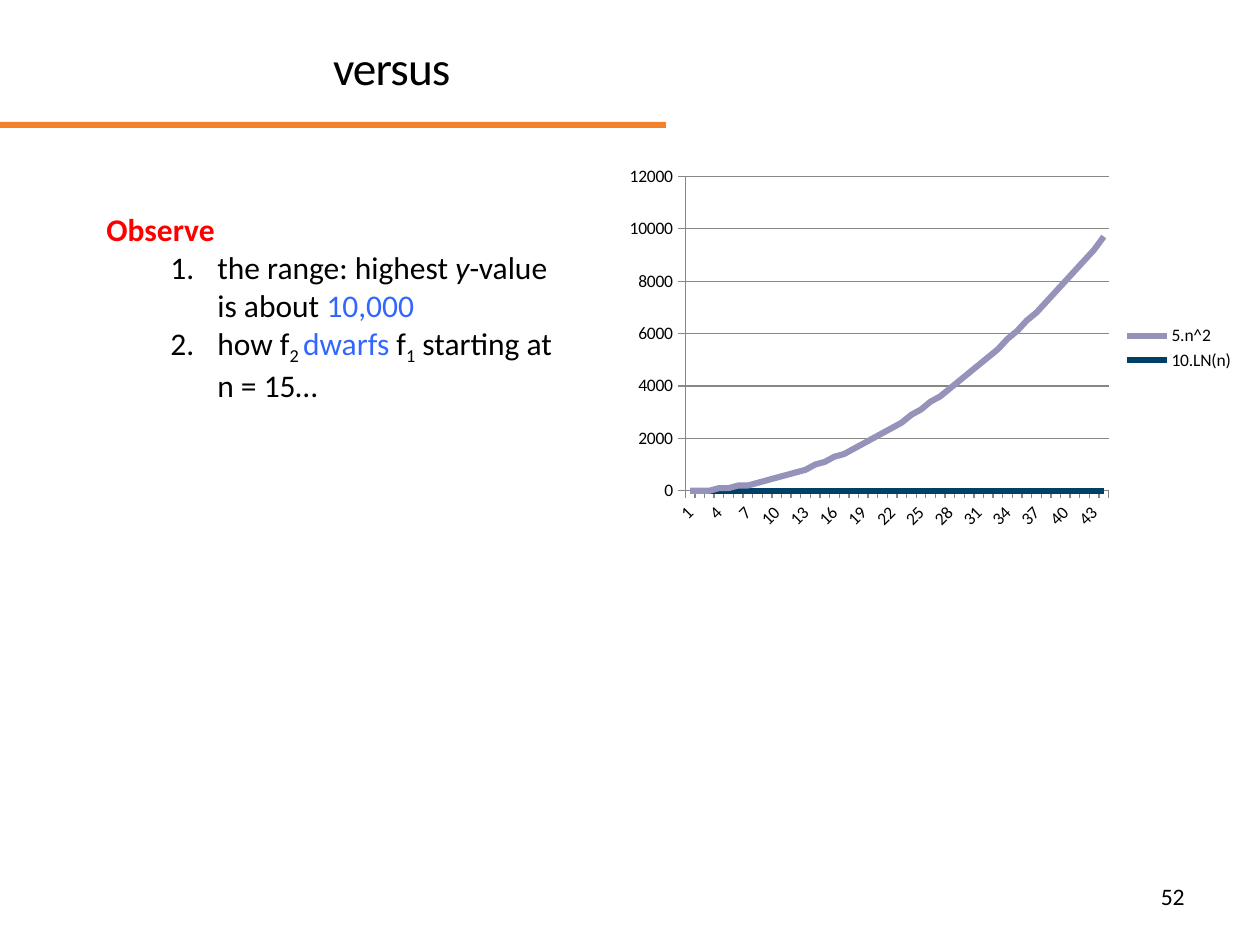
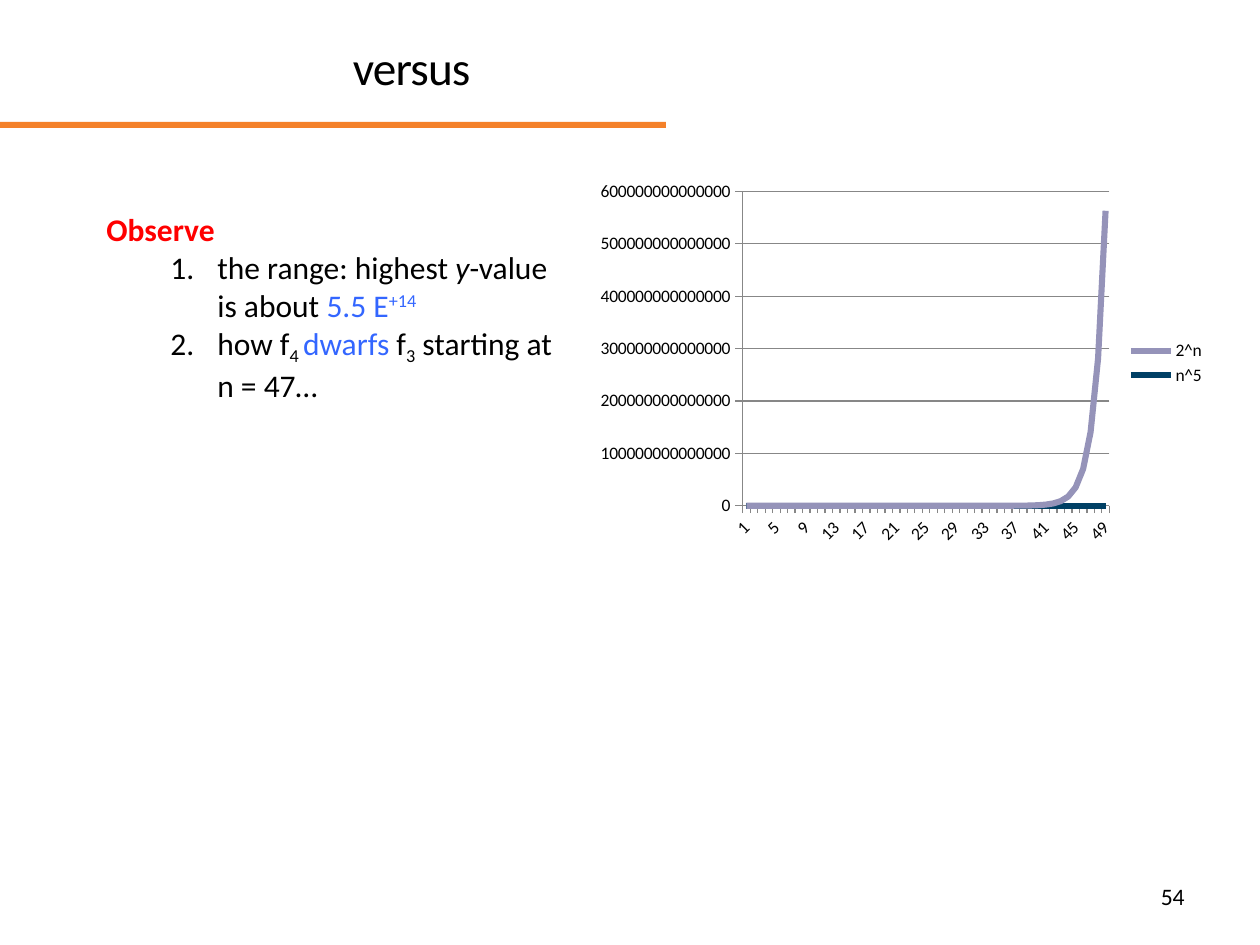
from math import log

from lxml.etree import SubElement
from pptx import Presentation
from pptx.chart.data import CategoryChartData
from pptx.dml.color import RGBColor
from pptx.enum.chart import XL_CHART_TYPE as ChartType
from pptx.enum.chart import XL_LEGEND_POSITION as LegendPosition
from pptx.enum.chart import XL_MARKER_STYLE as Marker
from pptx.enum.chart import XL_TICK_MARK as Tick
from pptx.enum.shapes import MSO_SHAPE as Preset
from pptx.enum.text import MSO_ANCHOR as Anchor
from pptx.enum.text import MSO_AUTO_SIZE as AutoSize
from pptx.enum.text import PP_ALIGN as Align
from pptx.oxml.ns import qn
from pptx.util import Emu, Pt

COLORS = {
    "text": "000000",
    "band": "F4812A",
    "heading": "FF0000",
    "accent": "3366FF",
    "slow": "004065",
    "fast": "9593B9",
    "axis": "878787",
}
FONT = "Calibri"
SUB, SUPER = -25, 30


def px(length):
    """Turn pixels at 126 to the inch into EMU."""
    return Emu(round(length * 914400 / 126))


def rgb(name):
    """Look up a palette colour."""
    return RGBColor.from_string(COLORS[name])


def write(paragraph, text, size=18, color="text", bold=False, italic=False, baseline=0, spacing=0):
    """Append one formatted run to a paragraph."""
    run = paragraph.add_run()
    run.text = text
    font = run.font
    font.name, font.size, font.bold, font.italic = FONT, Pt(size), bold, italic
    font.color.rgb = rgb(color)
    properties = run._r.get_or_add_rPr()
    if baseline:
        properties.set("baseline", str(baseline * 1000))
    if spacing:
        properties.set("spc", str(round(spacing * 100)))


def add_text_frame(slide, left, top, width, height):
    """Add a wrapping text box and return its frame."""
    frame = slide.shapes.add_textbox(px(left), px(top), px(width), px(height)).text_frame
    frame.word_wrap = True
    return frame


def set_title(slide, text, indent):
    """Place the title and start its text at the given inset."""
    title = slide.shapes.title
    title.left, title.top, title.width, title.height = px(63), px(38), px(1134), px(84)
    frame = title.text_frame
    frame.auto_size = AutoSize.NONE
    frame.vertical_anchor = Anchor.TOP
    frame.margin_left = px(indent)
    paragraph = frame.paragraphs[0]
    paragraph.alignment = Align.LEFT
    paragraph.line_spacing = 0.9
    write(paragraph, text, size=27, spacing=-0.5)


def add_band(slide):
    """Draw the rule below the title."""
    band = slide.shapes.add_shape(Preset.RECTANGLE, 0, px(122), px(666), px(6))
    band.shadow.inherit = False
    band.fill.solid()
    band.fill.fore_color.rgb = rgb("band")
    band.line.fill.background()


def add_page_number(slide, number):
    """Write the page number at the lower right."""
    paragraph = add_text_frame(slide, 903, 876, 294, 50).paragraphs[0]
    paragraph.alignment = Align.RIGHT
    write(paragraph, str(number), size=13.5)


def add_numbered_point(frame, pieces):
    """Add a numbered paragraph made of (text, format) pieces."""
    point = frame.add_paragraph()
    point.level = 1
    properties = point._p.get_or_add_pPr()
    properties.set("marL", str(px(111)))
    properties.set("indent", str(px(-47)))
    SubElement(properties, qn("a:buAutoNum"), type="arabicPeriod")
    for text, style in pieces:
        write(point, text, **style)


def add_observations(slide, highest, fast, slow, start):
    """List what the chart shows about the two functions."""
    frame = add_text_frame(slide, 94, 204, 476, 204)
    write(frame.paragraphs[0], "Observe ", color="heading", bold=True)
    add_numbered_point(frame, [
        ("the range: highest ", {}),
        ("y", {"italic": True}),
        ("-value is about ", {}),
        *[(text, {"color": "accent", "baseline": shift}) for text, shift in highest],
    ])
    add_numbered_point(frame, [
        ("how f", {}),
        (f"{fast} ", {"baseline": SUB}),
        ("dwarfs", {"color": "accent"}),
        (" f", {}),
        (str(slow), {"baseline": SUB}),
        (f" starting at n = {start}…", {}),
    ])


def style_axis(axis):
    """Give an axis grey lines and outside ticks."""
    axis.major_tick_mark, axis.minor_tick_mark = Tick.OUTSIDE, Tick.NONE
    axis.format.line.color.rgb = rgb("axis")
    axis.format.line.width = Pt(0.75)


def add_growth_chart(slide, left, top, last, digits, functions):
    """Chart the functions of n from 1 to last, rounded to the given digits."""
    data = CategoryChartData()
    data.categories = [str(n) for n in range(1, last + 1)]
    for name, function in functions.items():
        data.add_series(name, [round(function(n), digits) for n in range(1, last + 1)])
    chart = slide.shapes.add_chart(
        ChartType.LINE_STACKED, px(left), px(top), px(630), px(378), data).chart
    chart.has_title = False
    chart.font.name, chart.font.size = FONT, Pt(10)
    chart.font.color.rgb = rgb("text")
    chart.has_legend = True
    chart.legend.position = LegendPosition.RIGHT
    chart.legend.include_in_layout = False
    style_axis(chart.category_axis)
    style_axis(chart.value_axis)
    chart.value_axis.has_major_gridlines = True
    gridline = chart.value_axis.major_gridlines.format.line
    gridline.color.rgb, gridline.width = rgb("axis"), Pt(0.75)
    chart.plots[0].vary_by_categories = False
    for series, color in zip(chart.plots[0].series, ("slow", "fast")):
        series.smooth = False
        series.marker.style = Marker.NONE
        series.format.line.color.rgb = rgb(color)
        series.format.line.width = Pt(3.5)


def add_comparison(deck, number, title_indent):
    """Start a slide with the shared title, band and page number."""
    slide = deck.slides.add_slide(deck.slide_layouts[5])
    add_band(slide)
    set_title(slide, "versus", title_indent)
    add_page_number(slide, number)
    return slide


def main():
    """Build both comparison slides and save them."""
    deck = Presentation()
    deck.slide_width, deck.slide_height = px(1260), px(945)

    quadratic = add_comparison(deck, 52, 270)
    add_growth_chart(quadratic, 617, 159, 44, -2, {
        "10.LN(n)": lambda n: 10 * log(n),
        "5.n^2": lambda n: 5 * n ** 2,
    })
    add_observations(quadratic, [("10,000", 0)], fast=2, slow=1, start=15)

    exponential = add_comparison(deck, 54, 290)
    add_growth_chart(exponential, 588, 174, 49, -9, {
        "n^5": lambda n: n ** 5,
        "2^n": lambda n: 2 ** n,
    })
    add_observations(exponential, [("5.5 E", 0), ("+14", SUPER)], fast=4, slow=3, start=47)

    deck.save("out.pptx")


main()
